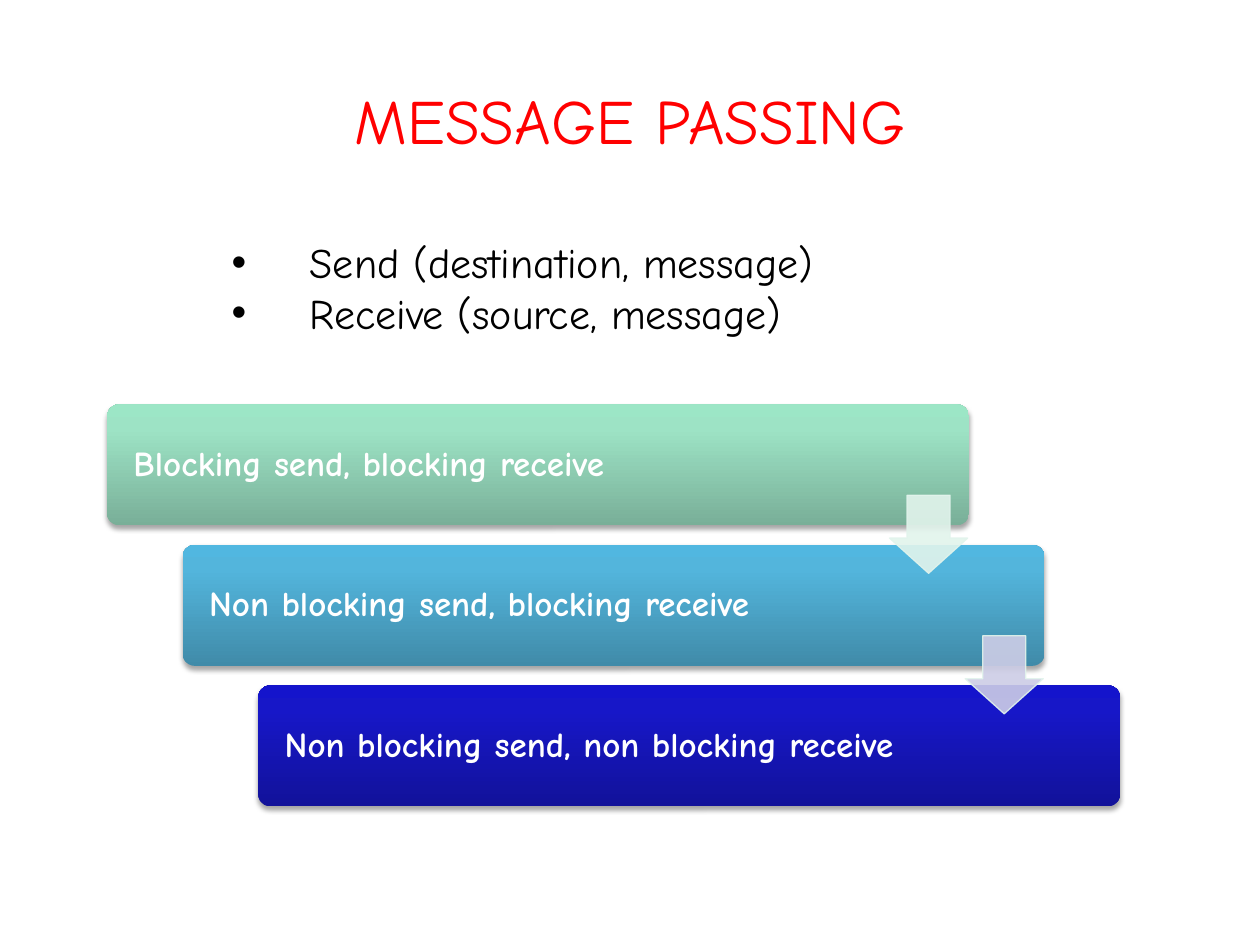
"""Build the message passing slide: two primitives above a staircase of three modes."""
from lxml.etree import SubElement
from pptx import Presentation
from pptx.dml.color import RGBColor
from pptx.enum.shapes import MSO_SHAPE
from pptx.enum.text import MSO_ANCHOR, PP_ALIGN
from pptx.oxml import parse_xml
from pptx.oxml.ns import nsdecls, qn
from pptx.util import Inches, Pt

COLORS = {
    "title": "FF0000",
    "body": "000000",
    "card_text": "FFFFFF",
    "arrow_line": "E2F4EC",
    "shadow": "000000",
}
CARDS = [
    ("Blocking send, blocking receive", 58, ("79AF98", "9DE3C5", "9CE6C6")),
    ("Non blocking send,\u00a0blocking receive".replace("\u00a0", " "), 55.5, ("408BA9", "53B5DC", "51B7E0")),
    ("Non blocking send, non blocking receive", 55.5, ("12129A", "1717C8", "1414CC")),
]
CARDS = [(text.replace("\u00a0", " "), width, stops) for text, width, stops in CARDS]
ARROW_FILLS = ["E2F4EC", "CDCDE6"]
PRIMITIVES = ["Send (destination, message)", "Receive (source, message)"]
STEP_COLUMNS, STEP_ROWS = 6, 14.87

presentation = Presentation()
presentation.slide_width, presentation.slide_height = Inches(10), Inches(7.5)
column, row = presentation.slide_width / 100, presentation.slide_height / 100
slide = presentation.slides.add_slide(presentation.slide_layouts[5])


def grid(left, top, width, height):
    return int(left * column), int(top * row), int(width * column), int(height * row)


def write(paragraph, text, size, color, bold=False):
    run = paragraph.add_run()
    run.text = text
    font_format = {"name": "Comic Neue", "size": Pt(size), "bold": bold}
    for name, value in font_format.items():
        setattr(run.font, name, value)
    run.font.color.rgb = RGBColor.from_string(COLORS[color])


title = slide.shapes.title
title.left, title.top, title.width, title.height = grid(7.5, 8.93, 85, 11.33)
title_format = {"vertical_anchor": MSO_ANCHOR.MIDDLE, "margin_bottom": Inches(0.27)}
for name, value in title_format.items():
    setattr(title.text_frame, name, value)
heading = title.text_frame.paragraphs[0]
heading.alignment, heading.line_spacing = PP_ALIGN.CENTER, 0.9
write(heading, "MESSAGE PASSING", 36, "title")

staircase = slide.shapes.add_group_shape()
card_frame_format = {
    "word_wrap": True,
    "vertical_anchor": MSO_ANCHOR.MIDDLE,
    "margin_left": Inches(0.18),
    "margin_right": Inches(0.08),
    "margin_top": Inches(0.08),
    "margin_bottom": Inches(0.08),
}
for index, (text, text_width, stops) in enumerate(CARDS):
    left, top = 8.5 + index * STEP_COLUMNS, 42.8 + index * STEP_ROWS
    card = staircase.shapes.add_shape(MSO_SHAPE.ROUNDED_RECTANGLE, *grid(left, top, 68.4, 12.8))
    card.adjustments[0] = 0.1
    card.line.fill.background()
    gradient_stops = "".join(
        f'<a:gs pos="{position}"><a:srgbClr val="{color}"/></a:gs>'
        for position, color in zip((0, 80000, 100000), stops)
    )
    properties = card.line._get_or_add_ln().getparent()
    properties.find(qn("a:ln")).addprevious(parse_xml(
        f'<a:gradFill {nsdecls("a")} rotWithShape="1"><a:gsLst>{gradient_stops}</a:gsLst>'
        '<a:lin ang="16200000" scaled="0"/></a:gradFill>'
    ))
    properties.append(parse_xml(
        f'<a:effectLst {nsdecls("a")}><a:outerShdw blurRad="{Pt(3.1)}" dist="{Pt(1.8)}" '
        f'dir="5400000" rotWithShape="0"><a:srgbClr val="{COLORS["shadow"]}">'
        '<a:alpha val="35000"/></a:srgbClr></a:outerShdw></a:effectLst>'
    ))
    label = staircase.shapes.add_textbox(*grid(left + 0.3, top + 0.4, text_width, 12))
    for name, value in card_frame_format.items():
        setattr(label.text_frame, name, value)
    paragraph = label.text_frame.paragraphs[0]
    paragraph.line_spacing = 0.9
    write(paragraph, text, 20, "card_text", bold=True)

for index, fill_color in enumerate(ARROW_FILLS):
    arrow = staircase.shapes.add_shape(
        MSO_SHAPE.DOWN_ARROW,
        *grid(70.6 + index * STEP_COLUMNS, 52.4 + index * STEP_ROWS, 6.2, 8.27),
    )
    arrow.adjustments[0], arrow.adjustments[1] = 0.55, 0.45
    arrow.shadow.inherit = False
    arrow.line.width = Pt(0.75)
    for fill, color in ((arrow.fill, fill_color), (arrow.line.fill, COLORS["arrow_line"])):
        fill.solid()
        fill.fore_color.rgb = RGBColor.from_string(color)
    for color_element in arrow._element.spPr.iter(qn("a:srgbClr")):
        SubElement(color_element, qn("a:alpha"), val="90000")

primitives = slide.shapes.add_textbox(*grid(17.4, 24.4, 65.1, 12.13))
primitives.text_frame.word_wrap = True
for index, text in enumerate(PRIMITIVES):
    frame = primitives.text_frame
    paragraph = frame.add_paragraph() if index else frame.paragraphs[0]
    write(paragraph, text, 24, "body")
    bullet_properties = paragraph._p.get_or_add_pPr()
    for name, value in {"marL": Inches(0.62), "indent": -Inches(0.62)}.items():
        bullet_properties.set(name, str(value))
    SubElement(bullet_properties, qn("a:buFont"), typeface="Arial")
    SubElement(bullet_properties, qn("a:buChar"), char="•")

presentation.save("out.pptx")
